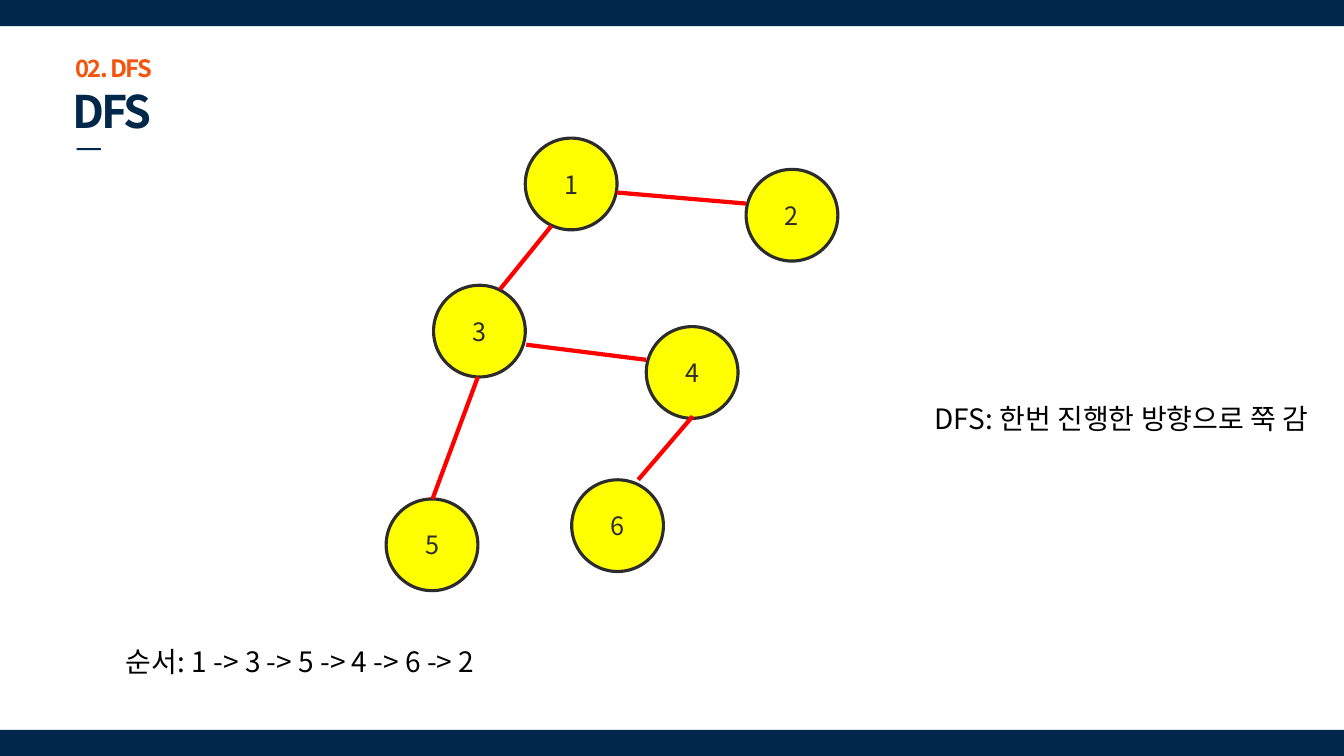
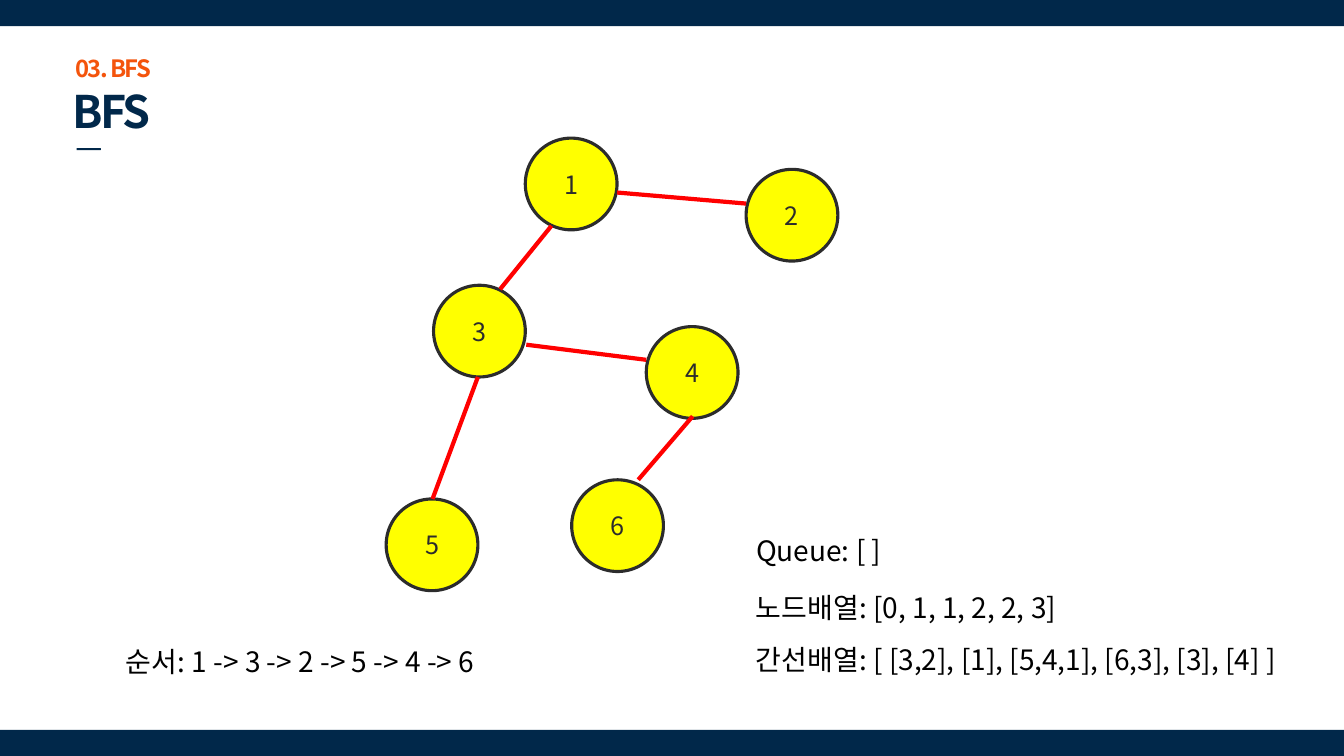
from lxml.etree import SubElement
from pptx import Presentation
from pptx.dml.color import RGBColor
from pptx.enum.shapes import MSO_CONNECTOR, MSO_SHAPE
from pptx.enum.text import MSO_ANCHOR, MSO_AUTO_SIZE, PP_ALIGN
from pptx.oxml.ns import qn
from pptx.util import Inches, Pt

FONT = "Noto Sans CJK KR"
NAVY, ORANGE, BLACK = "01284A", "F4540C", "000000"
NODE_FILL, NODE_INK, EDGE_RED = "FFFF00", "2C2C2C", "FF0000"
SLIDE_WIDTH, SLIDE_HEIGHT, BAND_HEIGHT = 13.33, 7.5, 0.26

# The graph: left and top of each node, then both ends of each edge
NODE_SIZE = 0.91
NODES = {
    "1": (5.21, 1.37), "3": (4.3, 2.83), "2": (7.4, 1.68),
    "4": (6.41, 3.24), "5": (3.83, 4.95), "6": (5.67, 4.76),
}
EDGES = [
    (5.47, 2.24, 4.96, 2.87),
    (4.74, 3.74, 4.29, 4.95),
    (5.22, 3.42, 6.41, 3.57),
    (6.12, 1.91, 7.4, 2.02),
    (6.33, 4.76, 6.87, 4.13),
]

# Section, title and notes (left, top, width, text) of each slide
SLIDES = [
    ("02. DFS", "DFS", [
        (9.17, 3.93, 4.02, "DFS: 한번 진행한 방향으로 쭉 감"),
        (1.15, 6.34, 4.49, "순서: 1 -> 3 -> 5 -> 4 -> 6 -> 2"),
    ]),
    ("03. BFS", "BFS", [
        (1.15, 6.34, 4.49, "순서: 1 -> 3 -> 2 -> 5 -> 4 -> 6"),
        (7.4, 5.81, 3.4, "노드배열: [0, 1, 1, 2, 2, 3]"),
        (7.4, 6.32, 5.93, "간선배열: [ [3,2], [1], [5,4,1], [6,3], [3], [4] ]"),
        (7.4, 5.24, 1.61, "Queue: [ ]"),
    ]),
]


def color(hex_string):
    return RGBColor.from_string(hex_string)


def set_text(shape, text, size, ink, bold=False, spacing=0, align=PP_ALIGN.LEFT):
    """Write one paragraph and format its run; spacing is in points."""
    paragraph = shape.text_frame.paragraphs[0]
    paragraph.text = text
    paragraph.alignment = align
    run = paragraph.runs[0]
    run.font.size = Pt(size)
    run.font.bold = bold
    run.font.color.rgb = color(ink)
    run.font.name = FONT
    properties = run._r.get_or_add_rPr()
    SubElement(properties, qn("a:ea"), typeface=FONT)
    if spacing:
        properties.set("spc", str(round(spacing * 100)))
    return paragraph


def add_shape(slide, kind, left, top, width, height, fill, outline=None):
    shape = slide.shapes.add_shape(
        kind, Inches(left), Inches(top), Inches(width), Inches(height))
    shape.shadow.inherit = False
    shape.fill.solid()
    shape.fill.fore_color.rgb = color(fill)
    if outline:
        shape.line.color.rgb = color(outline)
        shape.line.width = Pt(2.25)
    else:
        shape.line.fill.background()
    return shape


def add_text_box(slide, left, top, width, height):
    box = slide.shapes.add_textbox(
        Inches(left), Inches(top), Inches(width), Inches(height))
    box.text_frame.word_wrap = True
    return box


def add_frame_to_layout(layout, slide):
    """Draw the bands and the title rule, then move them to the layout."""
    frame = [
        add_shape(slide, MSO_SHAPE.RECTANGLE, 0, top, SLIDE_WIDTH, BAND_HEIGHT, NAVY)
        for top in (0, SLIDE_HEIGHT - BAND_HEIGHT)
    ]
    frame.append(
        add_shape(slide, MSO_SHAPE.ROUNDED_RECTANGLE, 0.76, 1.47, 0.24, 0.02, NAVY))
    for shape in frame:
        layout.shapes.element.append(shape.element)


def format_heading(shape, text, size, ink, spacing, anchor):
    frame = shape.text_frame
    frame.margin_left = frame.margin_right = 0
    frame.margin_top = frame.margin_bottom = 0
    frame.vertical_anchor = anchor
    frame.auto_size = MSO_AUTO_SIZE.SHAPE_TO_FIT_TEXT
    paragraph = set_text(shape, text, size, ink, bold=True, spacing=spacing)
    paragraph.line_spacing = 0.9
    paragraph.space_before = Pt(10)


def add_headings(slide, section, heading):
    label = add_text_box(slide, 0.75, 0.57, 11.87, 0.66)
    format_heading(label, section, 17, ORANGE, -1.2, MSO_ANCHOR.TOP)
    title = slide.shapes.title
    title.left, title.top = Inches(0.72), Inches(0.89)
    title.width, title.height = Inches(11.89), Inches(0.48)
    format_heading(title, heading, 32, NAVY, -2, MSO_ANCHOR.MIDDLE)


def add_node(slide, number, left, top):
    node = add_shape(slide, MSO_SHAPE.OVAL, left, top, NODE_SIZE, NODE_SIZE,
                     NODE_FILL, NODE_INK)
    node.text_frame.vertical_anchor = MSO_ANCHOR.MIDDLE
    set_text(node, number, 18, NODE_INK, align=PP_ALIGN.CENTER)


def add_edge(slide, *ends):
    edge = slide.shapes.add_connector(
        MSO_CONNECTOR.STRAIGHT, *(Inches(value) for value in ends))
    edge.line.color.rgb = color(EDGE_RED)
    edge.line.width = Pt(3)
    SubElement(edge.element.spPr, qn("a:effectLst"))


def add_graph(slide):
    for number, (left, top) in NODES.items():
        add_node(slide, number, left, top)
    for ends in EDGES:
        add_edge(slide, *ends)


def add_note(slide, left, top, width, text):
    set_text(add_text_box(slide, left, top, width, 0.44), text, 20, BLACK)


def main():
    presentation = Presentation()
    presentation.slide_width = Inches(SLIDE_WIDTH)
    presentation.slide_height = Inches(SLIDE_HEIGHT)
    layout = presentation.slide_layouts.get_by_name("Title Only")
    slides = [presentation.slides.add_slide(layout) for _ in SLIDES]
    add_frame_to_layout(layout, slides[0])
    for slide, (section, heading, notes) in zip(slides, SLIDES):
        add_headings(slide, section, heading)
        add_graph(slide)
        for note in notes:
            add_note(slide, *note)
    presentation.save("out.pptx")


if __name__ == "__main__":
    main()
